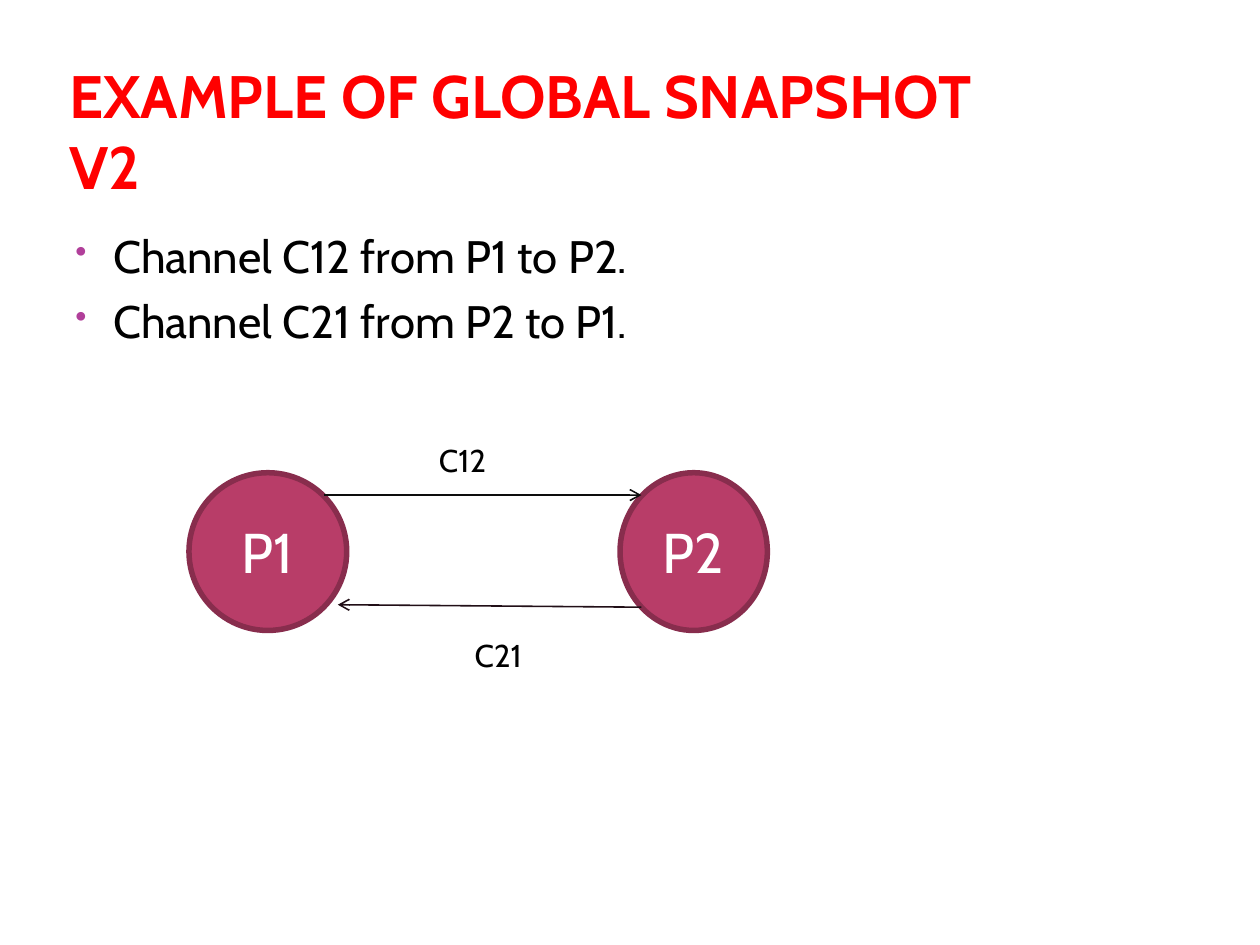
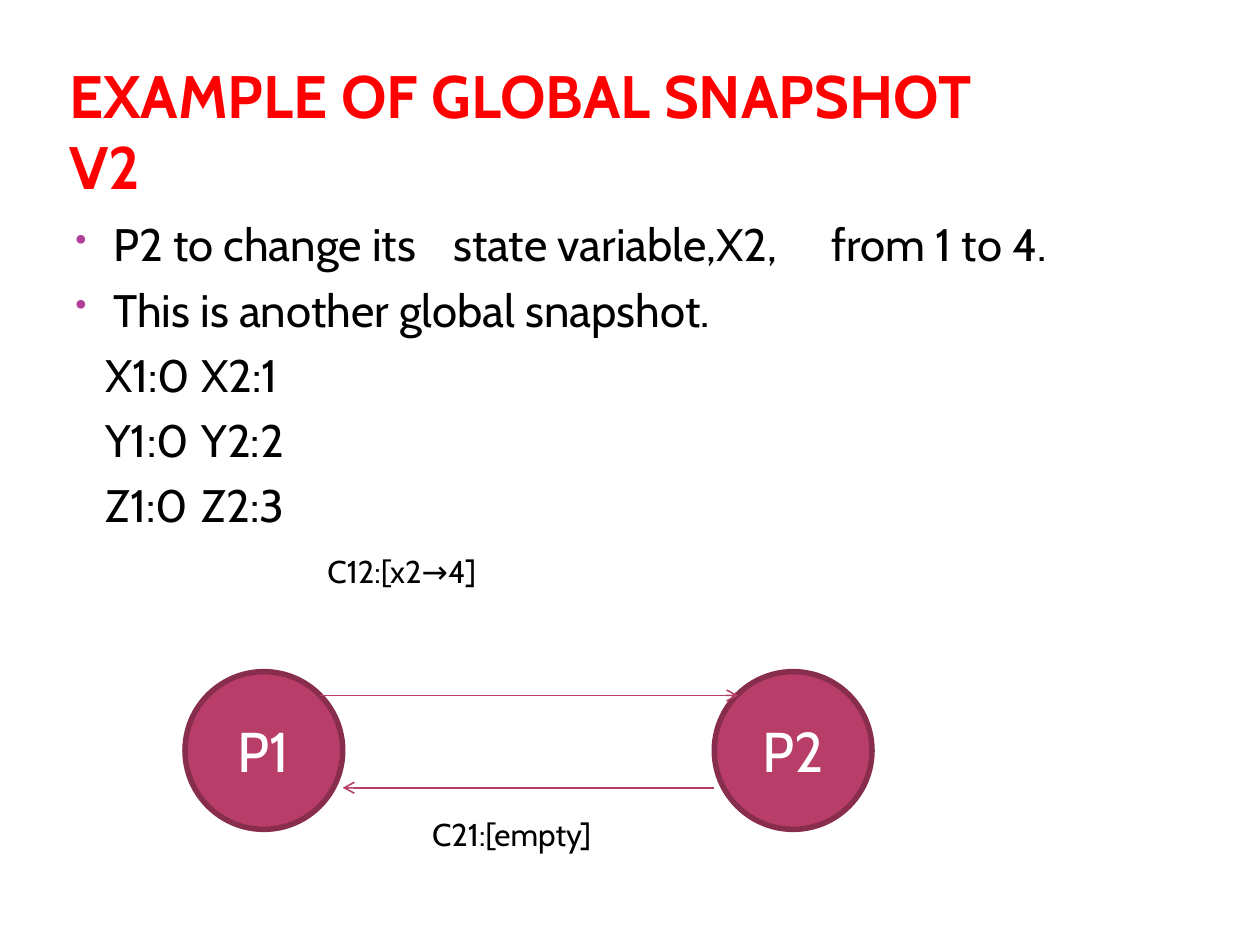
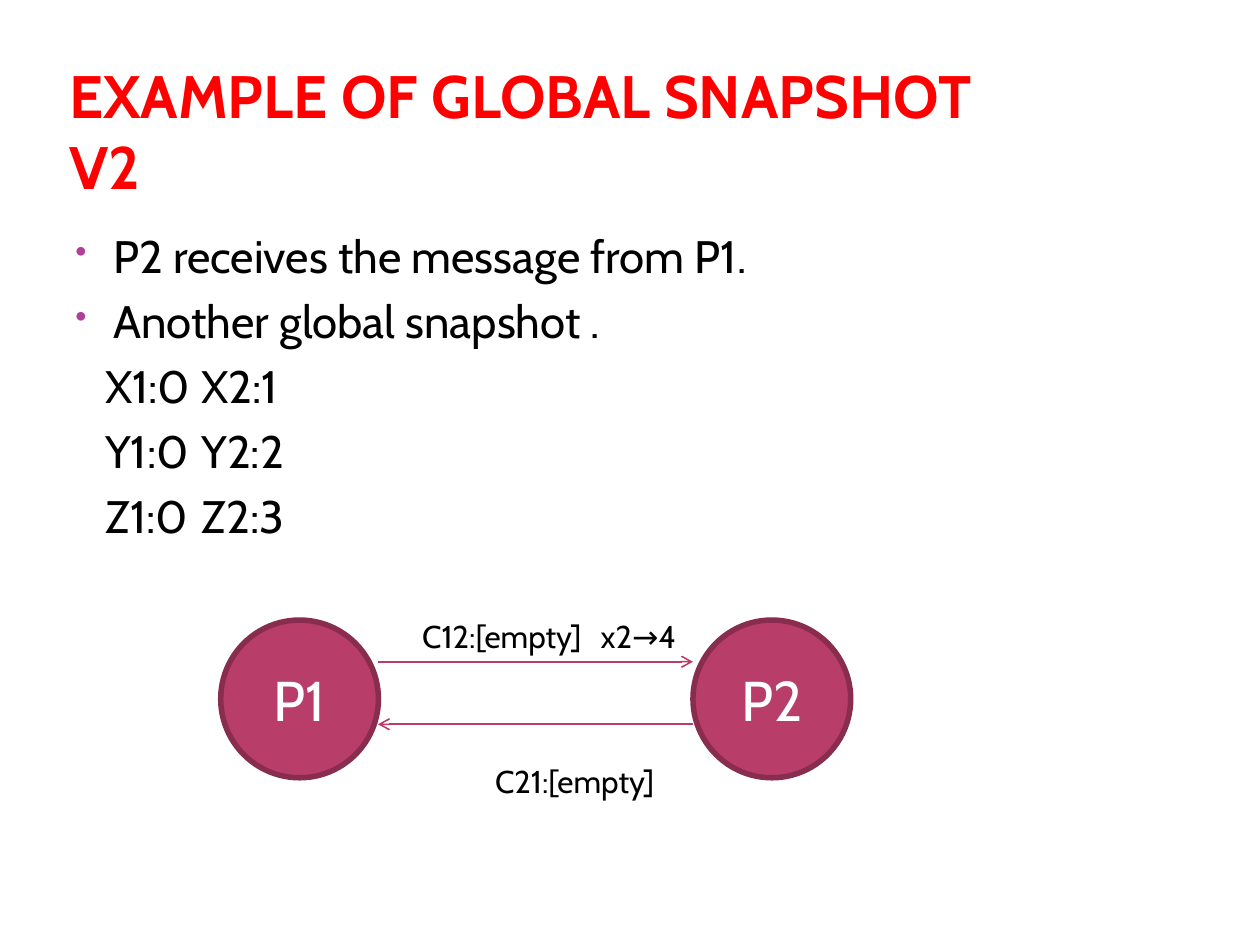
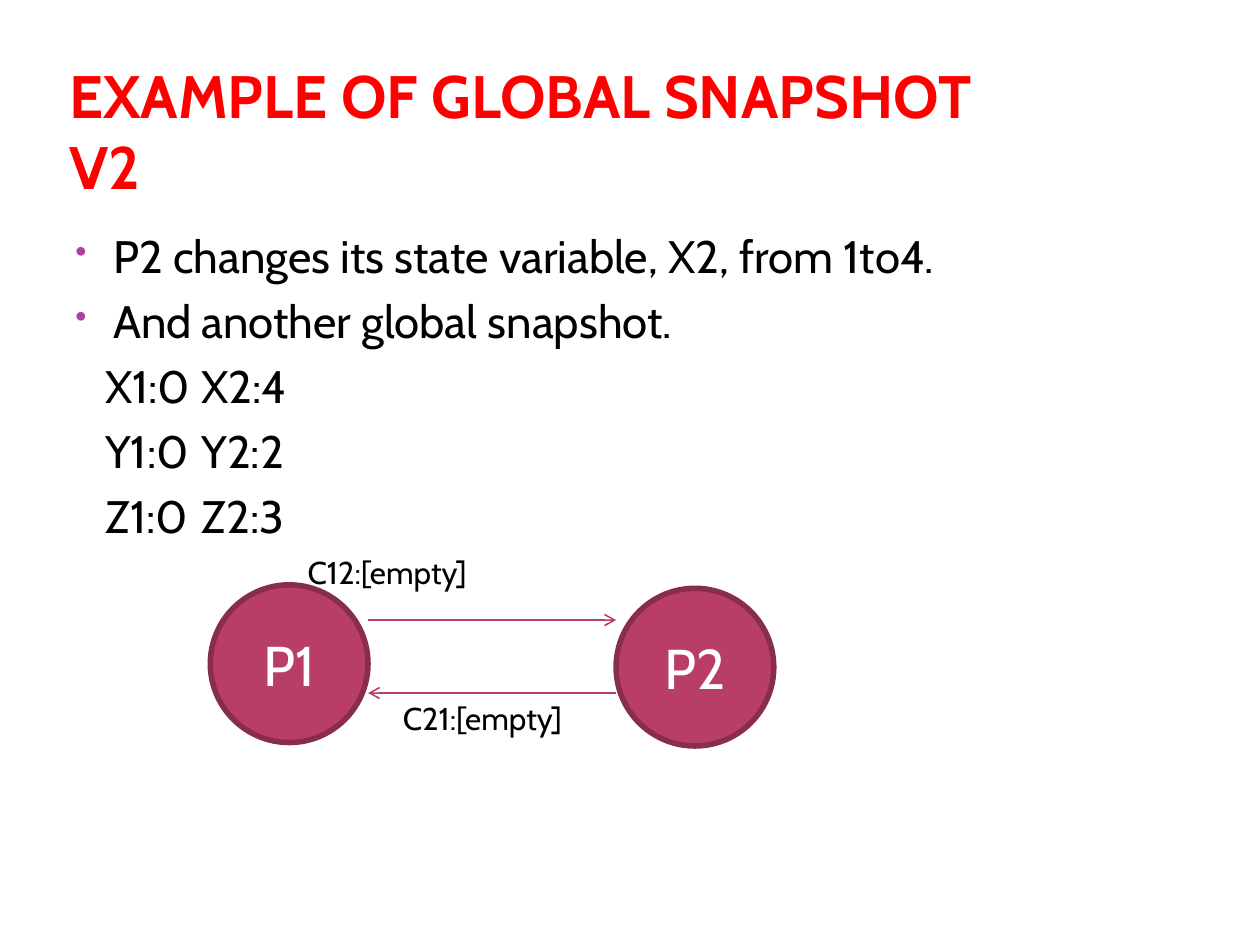
"""Build four slides on global snapshots of two processes and their channels."""
from dataclasses import dataclass, field
from typing import Any

from lxml.etree import SubElement
from pptx import Presentation
from pptx.dml.color import RGBColor
from pptx.enum.shapes import MSO_CONNECTOR as Connector, MSO_SHAPE as Preset
from pptx.enum.text import MSO_ANCHOR as Anchor, PP_ALIGN as Align
from pptx.oxml.ns import qn
from pptx.util import Cm, Length, Pt

RED = RGBColor(0xFF, 0x00, 0x00)
BLACK = RGBColor(0x00, 0x00, 0x00)
WHITE = RGBColor(0xFF, 0xFF, 0xFF)
ROSE = RGBColor(0xB8, 0x3D, 0x68)
WINE = RGBColor(0x88, 0x2D, 0x4D)
PURPLE = RGBColor(0xB1, 0x3F, 0x9A)
CHARCOAL = RGBColor(0x0D, 0x0D, 0x0D)
DARK_PLUM = RGBColor(0x21, 0x0F, 0x17)

TITLE = "EXAMPLE OF GLOBAL SNAPSHOT V2"
LEFT, TEXT_WIDTH = 1.27, 20.12
DIAMETER = 3.18
LABEL_HEIGHT = 1.02
BULLET_INDENT = 0.76
STATE_INDENT, STATE_TAB = 0.6, 10.75

TITLE_FONT = {"name": "Cabin", "size": Pt(34.2), "bold": True}
BODY_FONT = {"name": "Cabin", "size": Pt(26)}
LABEL_FONT = {"name": "Cabin", "size": Pt(18)}
PROCESS_FONT = {"name": "Cabin", "size": Pt(32)}


@dataclass
class Process:
    """A named circle, in centimetres."""
    name: str
    left: float
    top: float
    width: float = DIAMETER


@dataclass
class Channel:
    """An arrow from start to end, in centimetres."""
    start: tuple[float, float]
    end: tuple[float, float]
    color: RGBColor = ROSE


@dataclass
class Label:
    """A channel caption, in centimetres."""
    text: str
    left: float
    top: float
    width: float
    tab: float | None = None


@dataclass
class Caption:
    """A small indented last line of the body."""
    text: str
    indent: float
    space_before: int = 6


@dataclass
class Snapshot:
    """The content of one slide."""
    bullets: list[str]
    processes: list[Process]
    channels: list[Channel]
    labels: list[Label]
    states: list[tuple[str, str]] = field(default_factory=list)
    caption: Caption | None = None
    body_top: float = 4.47


SNAPSHOTS = [
    Snapshot(
        bullets=["Channel C12 from P1 to P2.", "Channel C21 from P2 to P1."],
        processes=[Process("P1", 3.81, 9.53), Process("P2", 12.5, 9.53, 2.97)],
        channels=[Channel((6.53, 9.98), (12.93, 9.98), CHARCOAL),
                  Channel((12.93, 12.24), (6.81, 12.19), DARK_PLUM)],
        labels=[Label("C12", 8.6, 8.76, 2.2), Label("C21", 9.32, 12.7, 1.6)],
    ),
    Snapshot(
        bullets=["P2 to change its\tstate variable,X2,\tfrom 1 to 4.",
                 "This is another global snapshot."],
        states=[("X1:0", "X2:1"), ("Y1:0", "Y2:2"), ("Z1:0", "Z2:3")],
        caption=Caption("C12:[x2→4]", 5.08, 12),
        processes=[Process("P1", 3.73, 13.54), Process("P2", 14.4, 13.54)],
        channels=[Channel((6.45, 14.02), (14.88, 14.02)),
                  Channel((14.4, 15.88), (6.91, 15.88))],
        labels=[Label("C21:[empty]", 8.46, 16.31, 5.56)],
        body_top=4.24,
    ),
    Snapshot(
        bullets=["P2 receives the message from P1.", "Another global snapshot ."],
        states=[("X1:0", "X2:1"), ("Y1:0", "Y2:2"), ("Z1:0", "Z2:3")],
        processes=[Process("P1", 4.45, 12.5), Process("P2", 13.97, 12.5)],
        channels=[Channel((7.62, 13.34), (13.97, 13.34)),
                  Channel((13.97, 14.6), (7.62, 14.6))],
        labels=[Label("C12:[empty]\tx2→4", 8.26, 12.32, 6.3, tab=3.6),
                Label("C21:[empty]", 9.73, 15.24, 4.09)],
    ),
    Snapshot(
        bullets=["P2 changes its state variable, X2, from 1to4.",
                 "And\tanother global snapshot."],
        states=[("X1:0", "X2:4"), ("Y1:0", "Y2:2"), ("Z1:0", "Z2:3")],
        caption=Caption("C12:[empty]", 4.68),
        processes=[Process("P1", 4.24, 11.79), Process("P2", 12.42, 11.86)],
        channels=[Channel((7.42, 12.5), (12.42, 12.5)),
                  Channel((12.42, 13.97), (7.42, 13.97))],
        labels=[Label("C21:[empty]", 7.87, 13.97, 4.09)],
    ),
]


def set_attributes(target: Any, values: dict[str, Any]) -> None:
    """Set each named value on the target."""
    for name, value in values.items():
        setattr(target, name, value)


def write(paragraph: Any, text: str, font: dict[str, Any], color: RGBColor) -> None:
    """Add one formatted run to the paragraph."""
    run = paragraph.add_run()
    run.text = text
    set_attributes(run.font, font)
    run.font.color.rgb = color


def set_indent(paragraph: Any, margin: Length, first_line: Length) -> None:
    """Set the left margin and the first-line indent."""
    properties = paragraph._p.get_or_add_pPr()
    properties.set("marL", str(int(margin)))
    properties.set("indent", str(int(first_line)))


def add_bullet(paragraph: Any) -> None:
    """Give the paragraph a small purple bullet."""
    properties = paragraph._p.get_or_add_pPr()
    color = SubElement(properties, qn("a:buClr"))
    SubElement(color, qn("a:srgbClr"), val=str(PURPLE))
    SubElement(properties, qn("a:buSzPct"), val="73000")
    SubElement(properties, qn("a:buChar"), char="•")
    set_indent(paragraph, Cm(BULLET_INDENT), Cm(-BULLET_INDENT))


def add_tab(paragraph: Any, position: float) -> None:
    """Give the paragraph one left tab stop."""
    tabs = SubElement(paragraph._p.get_or_add_pPr(), qn("a:tabLst"))
    SubElement(tabs, qn("a:tab"), pos=str(int(Cm(position))), algn="l")


def add_text_box(slide: Any, left: float, top: float, width: float, height: float) -> Any:
    """Add a wrapping text box and return its text frame."""
    frame = slide.shapes.add_textbox(Cm(left), Cm(top), Cm(width), Cm(height)).text_frame
    frame.word_wrap = True
    return frame


def add_title(slide: Any) -> None:
    """Add the shared title."""
    frame = add_text_box(slide, LEFT, 0.89, TEXT_WIDTH, 3.18)
    set_attributes(frame, {"vertical_anchor": Anchor.BOTTOM,
                           "margin_left": Cm(0.13), "margin_right": Cm(0.13),
                           "margin_top": 0, "margin_bottom": 0})
    write(frame.paragraphs[0], TITLE, TITLE_FONT, RED)


def add_body(slide: Any, snapshot: Snapshot) -> None:
    """Add the bullets, the two columns of states and the caption."""
    frame = add_text_box(slide, LEFT, snapshot.body_top, TEXT_WIDTH, 13.46)
    for index, text in enumerate(snapshot.bullets):
        paragraph = frame.add_paragraph() if index else frame.paragraphs[0]
        add_bullet(paragraph)
        if index:
            paragraph.space_before = Pt(6)
        write(paragraph, text, BODY_FONT, BLACK)
    for state in snapshot.states:
        paragraph = frame.add_paragraph()
        set_indent(paragraph, Cm(0), Cm(STATE_INDENT))
        add_tab(paragraph, STATE_TAB)
        paragraph.space_before = Pt(6)
        write(paragraph, "\t".join(state), BODY_FONT, BLACK)
    if snapshot.caption:
        paragraph = frame.add_paragraph()
        set_indent(paragraph, Cm(0), Cm(snapshot.caption.indent))
        paragraph.space_before = Pt(snapshot.caption.space_before)
        write(paragraph, snapshot.caption.text, LABEL_FONT, BLACK)


def add_process(slide: Any, process: Process) -> None:
    """Draw a process as a labelled circle."""
    shape = slide.shapes.add_shape(Preset.OVAL, Cm(process.left), Cm(process.top),
                                   Cm(process.width), Cm(DIAMETER))
    shape.shadow.inherit = False
    shape.fill.solid()
    shape.fill.fore_color.rgb = ROSE
    shape.line.color.rgb = WINE
    shape.line.width = Pt(3.15)
    shape.text_frame.vertical_anchor = Anchor.MIDDLE
    paragraph = shape.text_frame.paragraphs[0]
    paragraph.alignment = Align.CENTER
    write(paragraph, process.name, PROCESS_FONT, WHITE)


def add_channel(slide: Any, channel: Channel) -> None:
    """Draw a channel as an arrow."""
    points = [Cm(value) for value in (*channel.start, *channel.end)]
    connector = slide.shapes.add_connector(Connector.STRAIGHT, *points)
    connector.line.color.rgb = channel.color
    connector.line.width = Pt(0.9)
    SubElement(connector.line._get_or_add_ln(), qn("a:tailEnd"), type="arrow")
    SubElement(connector._element.spPr, qn("a:effectLst"))


def add_label(slide: Any, label: Label) -> None:
    """Add the caption of a channel."""
    frame = add_text_box(slide, label.left, label.top, label.width, LABEL_HEIGHT)
    paragraph = frame.paragraphs[0]
    if label.tab:
        add_tab(paragraph, label.tab)
    write(paragraph, label.text, LABEL_FONT, BLACK)


def add_snapshot(presentation: Any, snapshot: Snapshot) -> None:
    """Add one slide with its text and its diagram."""
    slide = presentation.slides.add_slide(presentation.slide_layouts[6])
    add_title(slide)
    add_body(slide, snapshot)
    for process in snapshot.processes:
        add_process(slide, process)
    for channel in snapshot.channels:
        add_channel(slide, channel)
    for label in snapshot.labels:
        add_label(slide, label)


def main() -> None:
    """Build and save the presentation."""
    presentation = Presentation()
    set_attributes(presentation, {"slide_width": Cm(25.4), "slide_height": Cm(19.05)})
    for snapshot in SNAPSHOTS:
        add_snapshot(presentation, snapshot)
    presentation.save("out.pptx")


if __name__ == "__main__":
    main()
